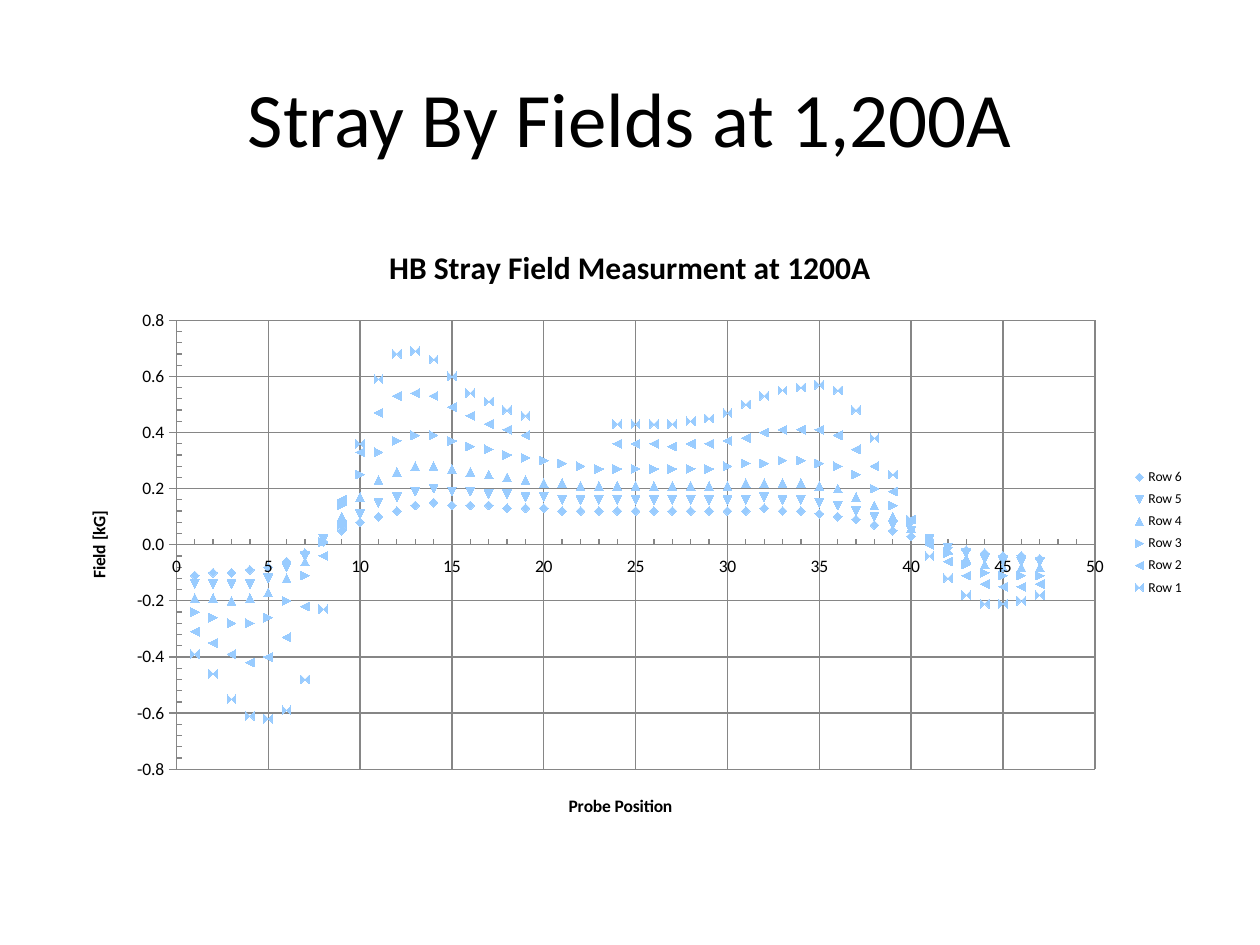
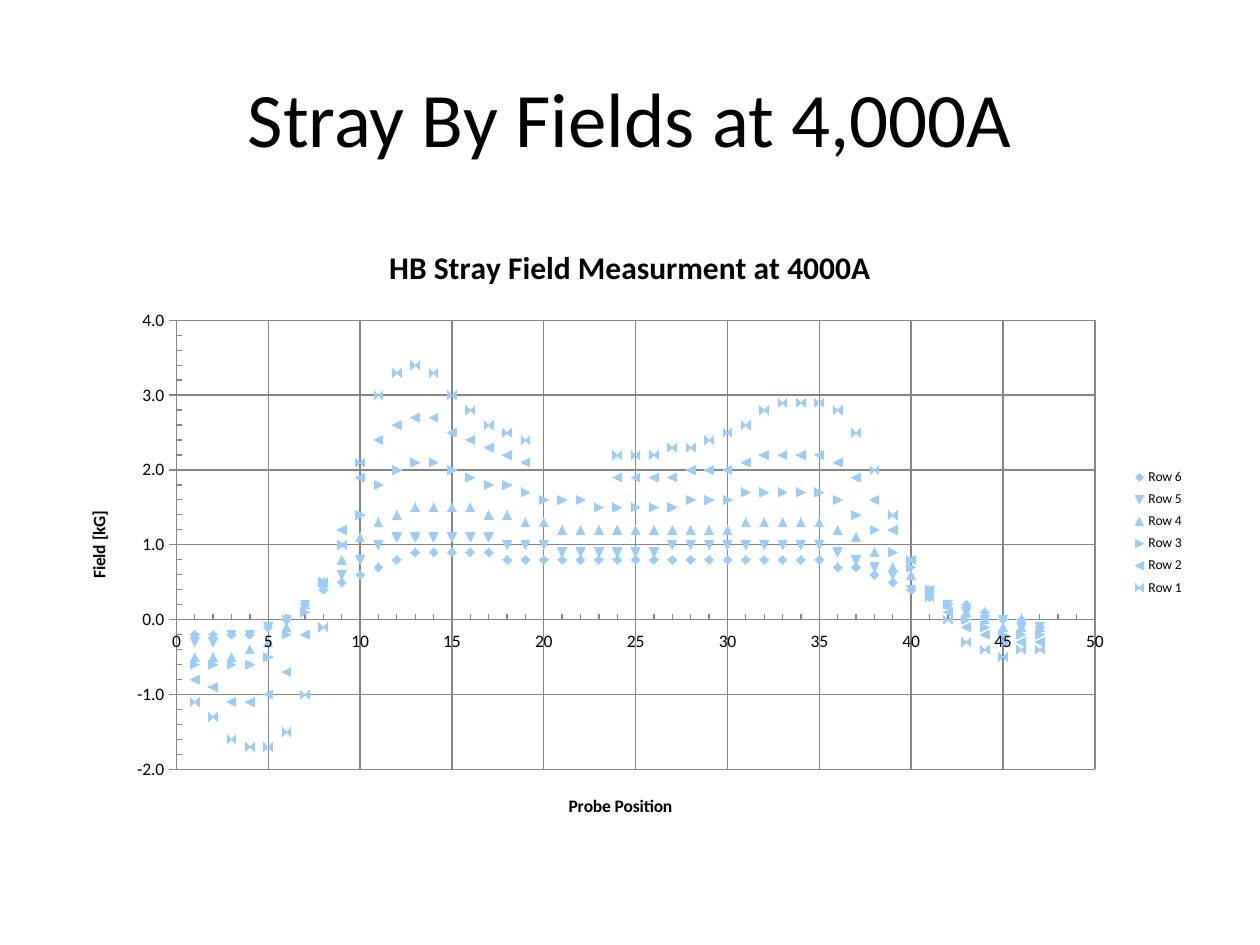
from lxml import etree
from pptx import Presentation
from pptx.chart.data import XyChartData
from pptx.dml.color import RGBColor
from pptx.enum.chart import XL_CHART_TYPE, XL_LEGEND_POSITION, XL_MARKER_STYLE, XL_TICK_MARK
from pptx.enum.text import MSO_ANCHOR, PP_ALIGN
from pptx.oxml import parse_xml
from pptx.oxml.ns import nsdecls, qn
from pptx.util import Inches, Pt

FONT = "Calibri"
COLORS = {"text": "000000", "grid": "868686", "marker": "99CCFF"}
PLOT = {"x": 0.1, "y": 0.16, "w": 0.81, "h": 0.72}
PROBES = [1, 5, 7, 9, 11, 13, 16, 19, 24, 29, 34, 36, 38, 41, 44, 47]
GAP = range(20, 24)

SLIDES = [
    {"current": "1,200A", "min": -0.8, "max": 0.8, "step": 0.2, "digits": 2, "rows": {
        "Row 6": [-0.11, -0.08, -0.03, 0.05, 0.1, 0.14, 0.14, 0.13,
                  0.12, 0.12, 0.12, 0.1, 0.07, 0.01, -0.03, -0.05],
        "Row 5": [-0.14, -0.12, -0.04, 0.07, 0.15, 0.19, 0.19, 0.17,
                  0.16, 0.16, 0.16, 0.14, 0.1, 0.02, -0.05, -0.06],
        "Row 4": [-0.19, -0.17, -0.06, 0.1, 0.23, 0.28, 0.26, 0.23,
                  0.21, 0.21, 0.22, 0.2, 0.14, 0.02, -0.07, -0.08],
        "Row 3": [-0.24, -0.26, -0.11, 0.14, 0.33, 0.39, 0.35, 0.31,
                  0.27, 0.27, 0.3, 0.28, 0.2, 0.02, -0.1, -0.11],
        "Row 2": [-0.31, -0.4, -0.22, 0.16, 0.47, 0.54, 0.46, 0.39,
                  0.36, 0.36, 0.41, 0.39, 0.28, 0, -0.14, -0.14],
        "Row 1": [-0.39, -0.62, -0.48, 0.07, 0.59, 0.69, 0.54, 0.46,
                  0.43, 0.45, 0.56, 0.55, 0.38, -0.04, -0.21, -0.18]}},
    {"current": "4,000A", "min": -2, "max": 4, "step": 1, "digits": 1, "rows": {
        "Row 6": [-0.2, -0.1, 0.2, 0.5, 0.7, 0.9, 0.9, 0.8,
                  0.8, 0.8, 0.8, 0.7, 0.6, 0.3, 0.1, -0.1],
        "Row 5": [-0.3, -0.1, 0.2, 0.6, 1, 1.1, 1.1, 1,
                  0.9, 1, 1, 0.9, 0.7, 0.3, 0, -0.1],
        "Row 4": [-0.5, -0.3, 0.2, 0.8, 1.3, 1.5, 1.5, 1.3,
                  1.2, 1.2, 1.3, 1.2, 0.9, 0.4, 0, -0.1],
        "Row 3": [-0.6, -0.5, 0.1, 1, 1.8, 2.1, 1.9, 1.7,
                  1.5, 1.6, 1.7, 1.6, 1.2, 0.4, -0.1, -0.2],
        "Row 2": [-0.8, -1, -0.2, 1.2, 2.4, 2.7, 2.4, 2.1,
                  1.9, 2, 2.2, 2.1, 1.6, 0.4, -0.2, -0.3],
        "Row 1": [-1.1, -1.7, -1, 1, 3, 3.4, 2.8, 2.4,
                  2.2, 2.4, 2.9, 2.8, 2, 0.3, -0.4, -0.4]}},
]


def set_font(font, size, bold=False):
    font.name = FONT
    font.size = Pt(size)
    font.bold = bold
    font.color.rgb = RGBColor.from_string(COLORS["text"])


def fill_between(fields, digits):
    gaps = [b - a for a, b in zip(PROBES, PROBES[1:])]
    rises = [(b - a) / gap for a, b, gap in zip(fields, fields[1:], gaps)]
    slopes = [rises[0]]
    for i in range(1, len(gaps)):
        slopes.append((gaps[i] * rises[i - 1] + gaps[i - 1] * rises[i]) / (gaps[i] + gaps[i - 1]))
    slopes.append(rises[-1])
    points = {PROBES[-1]: fields[-1]}
    for i, gap in enumerate(gaps):
        for step in range(gap):
            t = step / gap
            u = 1 - t
            field = (fields[i] * u * u * (1 + 2 * t) + fields[i + 1] * t * t * (1 + 2 * u)
                     + gap * t * u * (slopes[i] * u - slopes[i + 1] * t))
            points[PROBES[i] + step] = round(field, digits)
    return sorted(points.items())


prs = Presentation()
prs.slide_width, prs.slide_height = Inches(10), Inches(7.5)

for page in SLIDES:
    s = prs.slides.add_slide(prs.slide_layouts[5])
    title = s.shapes.title
    title.left, title.top, title.width, title.height = (Inches(v) for v in (0.5, 0.3, 9, 1.25))
    tf = title.text_frame
    tf.text = f"Stray By Fields at {page['current']}"
    tf.vertical_anchor = MSO_ANCHOR.MIDDLE
    p = tf.paragraphs[0]
    p.alignment = PP_ALIGN.CENTER
    set_font(p.font, 44)

    data = XyChartData()
    for name, fields in page["rows"].items():
        row = data.add_series(name)
        for probe, field in fill_between(fields, page["digits"]):
            if probe not in GAP or name not in ("Row 1", "Row 2"):
                row.add_data_point(probe, field)
    chart = s.shapes.add_chart(XL_CHART_TYPE.XY_SCATTER, Inches(0.5), Inches(1.75),
                               Inches(9), Inches(4.95), data).chart
    set_font(chart.font, 10)
    chart.has_title = True
    p = chart.chart_title.text_frame.paragraphs[0]
    p.text = f"HB Stray Field Measurment at {page['current'].replace(',', '')}"
    set_font(p.font, 18, True)

    chart.has_legend = True
    chart.legend.position = XL_LEGEND_POSITION.RIGHT
    chart.legend.include_in_layout = False
    set_font(chart.legend.font, 7.8)

    for axis, text, low, high, step, fmt in (
            (chart.category_axis, "Probe Position", 0, 50, 5, "0"),
            (chart.value_axis, "Field [kG]", page["min"], page["max"], page["step"], "#,##0.0")):
        axis.minimum_scale, axis.maximum_scale = low, high
        axis.major_unit, axis.minor_unit = step, step / 5
        axis.major_tick_mark = XL_TICK_MARK.CROSS
        axis.minor_tick_mark = XL_TICK_MARK.INSIDE
        axis.has_major_gridlines = True
        for line in (axis.major_gridlines.format.line, axis.format.line):
            line.color.rgb = RGBColor.from_string(COLORS["grid"])
            line.width = Pt(0.75)
        axis.tick_labels.number_format = fmt
        axis.tick_labels.number_format_is_linked = False
        set_font(axis.tick_labels.font, 10)
        p = axis.axis_title.text_frame.paragraphs[0]
        p.text = text
        set_font(p.font, 10, True)

    plot = chart.plots[0]
    plot.vary_by_categories = False
    for order, row in enumerate(plot.series, 1):
        row.smooth = False
        row.format.line.fill.background()
        row.marker.style = XL_MARKER_STYLE.AUTOMATIC
        row.marker.size = 5
        row.marker.format.fill.solid()
        row.marker.format.fill.fore_color.rgb = RGBColor.from_string(COLORS["marker"])
        row.marker.format.line.fill.background()
        for tag in ("c:idx", "c:order"):
            row._element.find(qn(tag)).set("val", str(order))

    area = chart._chartSpace.chart.plotArea
    for old in area.findall(qn("c:layout")):
        area.remove(old)
    layout = parse_xml(f"<c:layout {nsdecls('c')}><c:manualLayout/></c:layout>")
    settings = {"layoutTarget": "inner", "xMode": "edge", "yMode": "edge", **PLOT}
    for tag, value in settings.items():
        etree.SubElement(layout[0], qn(f"c:{tag}")).set("val", str(value))
    area.insert(0, layout)

prs.save("out.pptx")
